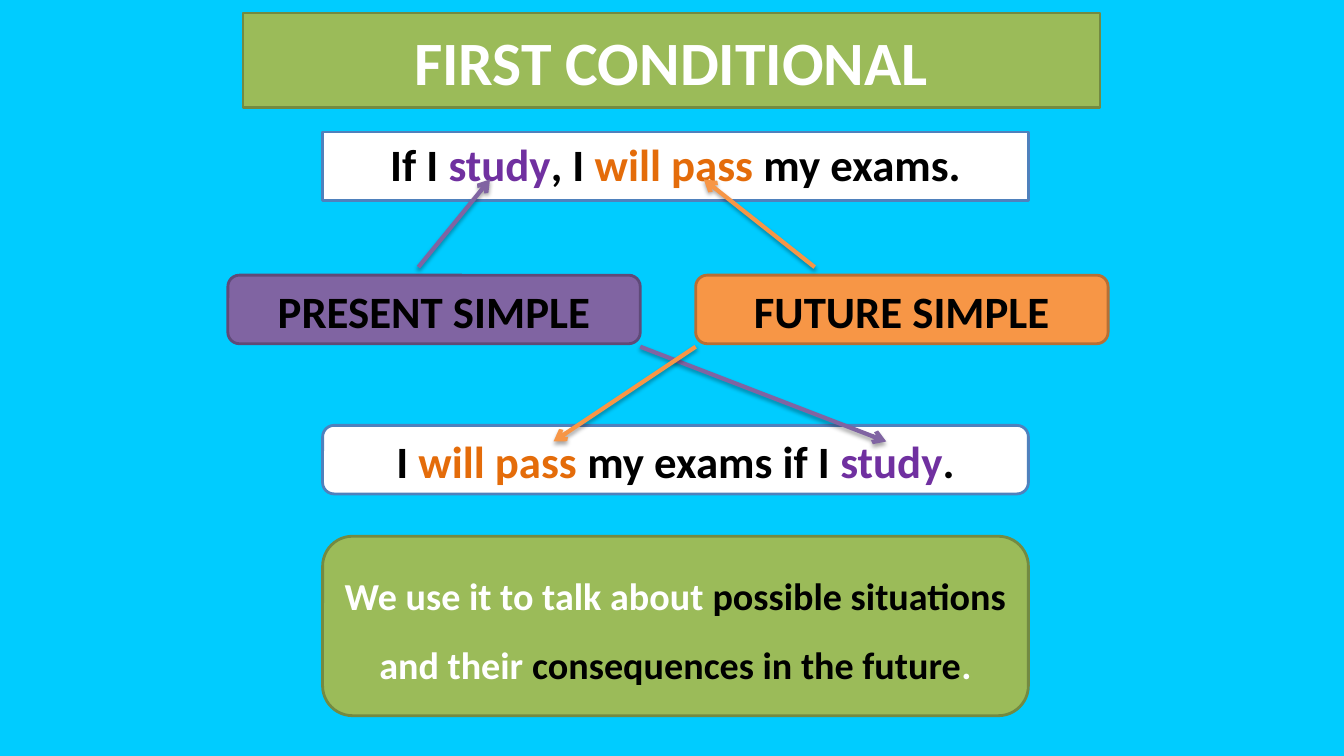
import pptx
import pptx.util
import pptx.dml.color
import pptx.enum.shapes
import pptx.enum.text
import pptx.oxml
import pptx.oxml.ns

SCALE = 9144
COLORS = {
    "sky": "00CCFF", "white": "FFFFFF", "black": "000000",
    "green": "9BBB59", "olive": "738A42", "blue": "4F81BD",
    "purple": "8064A2", "plum": "5F4A78", "violet": "7030A0",
    "orange": "F79646", "brown": "B76F34", "rust": "E46C0A",
}
SHADOW = (
    '<a:effectLst %s><a:outerShdw blurRad="39370" dist="22860" dir="5400000" rotWithShape="0">'
    '<a:srgbClr val="000000"><a:alpha val="35000"/></a:srgbClr></a:outerShdw></a:effectLst>'
    % pptx.oxml.ns.nsdecls("a")
)


def px(size):
    return pptx.util.Emu(size * SCALE)


def color(name):
    return pptx.dml.color.RGBColor.from_string(COLORS[name])


class Board:
    font = "Calibri"

    def __init__(self, deck):
        self.slide = deck.slides.add_slide(deck.slide_layouts[6])
        fill = self.slide.background.fill
        fill.solid()
        fill.fore_color.rgb = color("sky")

    def box(self, place, fill, edge, runs, size=32, round=True, middle=False, space=None):
        kinds = pptx.enum.shapes.MSO_SHAPE
        kind = kinds.ROUNDED_RECTANGLE if round else kinds.RECTANGLE
        shape = self.slide.shapes.add_shape(kind, *map(px, place))
        shape.shadow.inherit = False
        shape.fill.solid()
        shape.fill.fore_color.rgb = color(fill)
        shape.line.color.rgb = color(edge)
        shape.line.width = pptx.util.Pt(2)
        frame = shape.text_frame
        frame.word_wrap = True
        anchor = pptx.enum.text.MSO_ANCHOR
        frame.vertical_anchor = anchor.MIDDLE if middle else anchor.TOP
        para = frame.paragraphs[0]
        para.alignment = pptx.enum.text.PP_ALIGN.CENTER
        if space:
            para.line_spacing = space
        para.font.name = self.font
        para.font.size = pptx.util.Pt(size)
        para.font.bold = True
        for text, tint in runs:
            run = para.add_run()
            run.text = text
            run.font.color.rgb = color(tint)

    def arrow(self, start, end, tint):
        kind = pptx.enum.shapes.MSO_CONNECTOR.STRAIGHT
        link = self.slide.shapes.add_connector(kind, *map(px, start + end))
        link.line.color.rgb = color(tint)
        link.line.width = pptx.util.Pt(3)
        head = pptx.oxml.parse_xml('<a:tailEnd %s type="arrow"/>' % pptx.oxml.ns.nsdecls("a"))
        link.line._get_or_add_ln().append(head)
        link._element.spPr.append(pptx.oxml.parse_xml(SHADOW))


def main():
    deck = pptx.Presentation()
    deck.slide_width = px(1333)
    deck.slide_height = px(750)
    board = Board(deck)

    board.box((241, 13, 850, 94), "green", "olive", [("FIRST CONDITIONAL", "white")],
              size=44, round=False, middle=True)
    board.box((320, 131, 700, 68), "white", "blue", [
        ("If I ", "black"), ("study", "violet"), (", I ", "black"),
        ("will pass ", "rust"), ("my exams.", "black"),
    ], round=False)
    board.box((320, 422, 700, 68), "white", "blue", [
        ("I ", "black"), ("will pass ", "rust"), ("my exams if I ", "black"),
        ("study", "violet"), (".", "black"),
    ])

    tenses = [
        (226, "PRESENT SIMPLE", "purple", "plum"),
        (690, "FUTURE SIMPLE", "orange", "brown"),
    ]
    for left, name, fill, edge in tenses:
        board.box((left, 273, 409, 68), fill, edge, [(name, "black")])

    arrows = [
        ((415, 265), (486, 178), "purple"),
        ((635, 344), (879, 438), "purple"),
        ((808, 265), (698, 178), "orange"),
        ((690, 344), (549, 438), "orange"),
    ]
    for start, end, tint in arrows:
        board.arrow(start, end, tint)

    board.box((320, 532, 700, 178), "green", "olive", [
        ("We use it to talk about ", "white"), ("possible situations ", "black"),
        ("and their ", "white"), ("consequences in the future", "black"), (".", "white"),
    ], size=27.2, space=1.5)
    deck.save("out.pptx")


if __name__ == "__main__":
    main()
